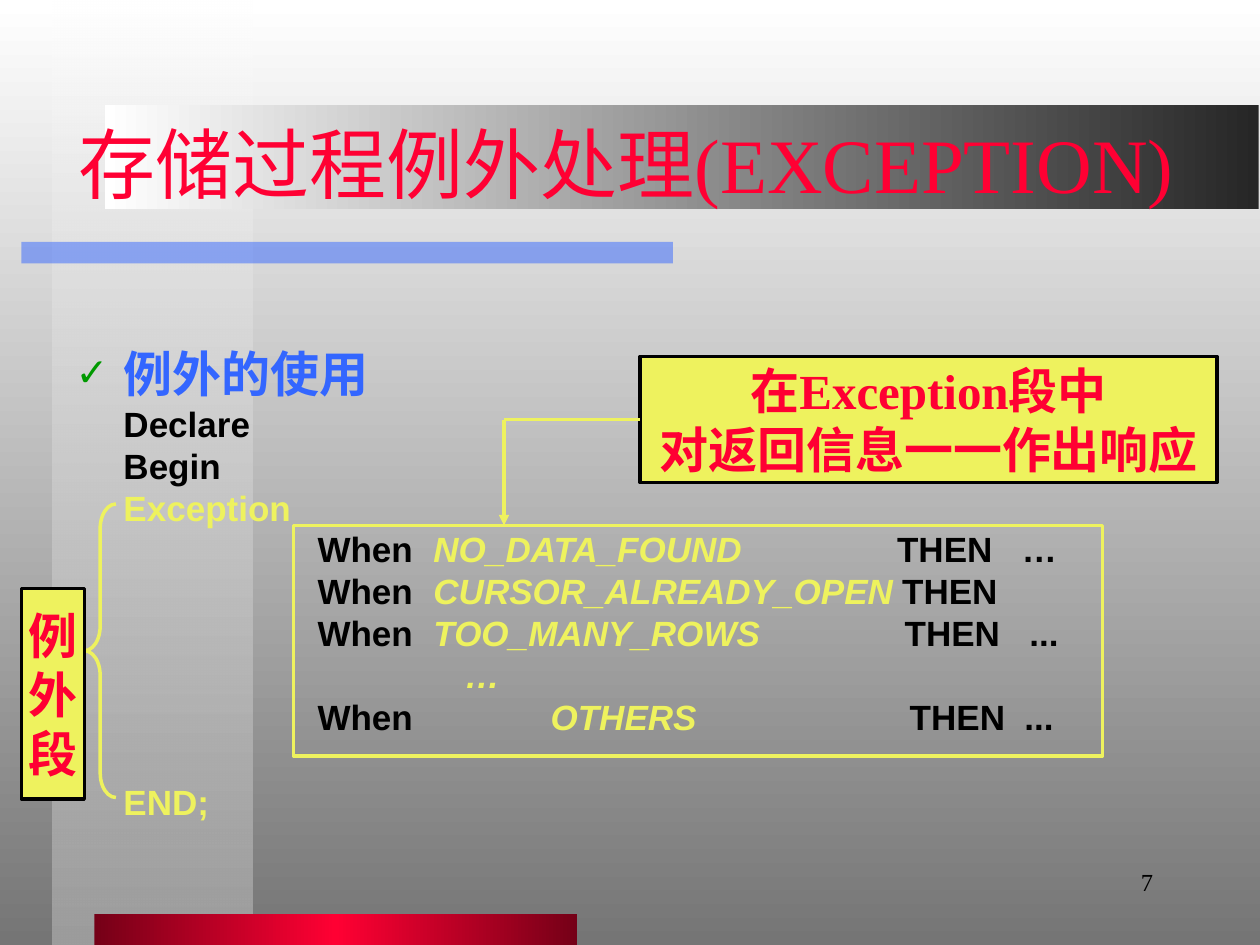
import pptx
import pptx.util
import pptx.dml.color
import pptx.enum.shapes
import pptx.enum.text
import pptx.oxml.ns
import lxml.etree

Inches, Pt = pptx.util.Inches, pptx.util.Pt
RGB = pptx.dml.color.RGBColor
SHAPE = pptx.enum.shapes.MSO_SHAPE
ALIGN = pptx.enum.text.PP_ALIGN
MIDDLE = pptx.enum.text.MSO_ANCHOR.MIDDLE
TOP = pptx.enum.text.MSO_ANCHOR.TOP
qn = pptx.oxml.ns.qn

WHITE, BLACK = RGB(255, 255, 255), RGB(0, 0, 0)
GRAY, SILVER, CHARCOAL = RGB(0x75, 0x75, 0x75), RGB(0x9D, 0x9D, 0x9D), RGB(0x26, 0x26, 0x26)
RED, MAROON = RGB(0xFF, 0x00, 0x33), RGB(0x75, 0x00, 0x17)
BLUE, GREEN, YELLOW = RGB(0x33, 0x66, 0xFF), RGB(0x00, 0x99, 0x00), RGB(0xEE, 0xF2, 0x5E)
SERIF, SANS = "Times New Roman", "Arial"

CODE = dict(name=SANS, size=Pt(20), bold=True, italic=False)
LABEL = dict(name=SERIF, size=Pt(28), bold=True)
LINE = 24
HANDLERS = [
    ("When", "NO_DATA_FOUND", "THEN", "…", (0.92, 4.6, 5.59)),
    ("When", "CURSOR_ALREADY_OPEN", "THEN", "", (0.92, 4.64)),
    ("When", "TOO_MANY_ROWS", "THEN", "...", (0.92, 4.66, 5.65)),
    ("", "…", "", "", (1.17,)),
    ("When", "OTHERS", "THEN", "...", (1.85, 4.7, 5.61)),
]


def sub(parent, tag, **attrs):
    return lxml.etree.SubElement(parent, qn("a:" + tag), {k: str(v) for k, v in attrs.items()})


def set_gradient(fill, element, stops, angle):
    fill.gradient()
    grad = element.find(".//" + qn("a:gradFill"))
    for child in list(grad):
        grad.remove(child)
    gs_lst = sub(grad, "gsLst")
    for pos, color, alpha in stops:
        clr = sub(sub(gs_lst, "gs", pos=pos * 1000), "srgbClr", val=color)
        if alpha < 100:
            sub(clr, "alpha", val=alpha * 1000)
    sub(grad, "lin", ang=angle * 60000, scaled=0)


def add_box(s, box, kind=SHAPE.RECTANGLE, fill=None, line=None):
    sp = s.shapes.add_shape(kind, *map(Inches, box))
    sp.shadow.inherit = False
    if fill is None:
        sp.fill.background()
    else:
        sp.fill.solid()
        sp.fill.fore_color.rgb = fill
    if line is None:
        sp.line.fill.background()
    else:
        sp.line.color.rgb = line
        sp.line.width = Pt(2)
    return sp


def place(sp, box):
    sp.left, sp.top, sp.width, sp.height = map(Inches, box)
    sp.text_frame.auto_size = pptx.enum.text.MSO_AUTO_SIZE.NONE


def add_run(p, text, color, formats):
    r = p.add_run()
    r.text = text
    for name, value in formats.items():
        setattr(r.font, name, value)
    r.font.color.rgb = color


def next_paragraph(tf):
    return tf.add_paragraph() if tf.paragraphs[0].runs else tf.paragraphs[0]


def set_indent(p, margin, indent=0):
    pPr = p._p.get_or_add_pPr()
    pPr.set("marL", str(Inches(margin)))
    pPr.set("indent", str(Inches(indent)))
    return pPr


def set_spacing(p, height, before=0):
    p.line_spacing = Pt(height)
    p.space_before = Pt(before)


def draw_backdrop(s, box):
    x, y, w, h = box
    set_gradient(s.background.fill, s.element, [(0, WHITE, 100), (100, GRAY, 100)], 90)
    column = add_box(s, (x + 0.42, y, 1.58, h))
    set_gradient(column.fill, column._element, [(0, WHITE, 50), (100, SILVER, 100)], 90)
    bar = add_box(s, (x + 0.17, y + 1.92, 5.17, 0.17), fill=BLUE)
    sub(bar._element.find(".//" + qn("a:srgbClr")), "alpha", val=50000)
    foot = add_box(s, (x + 0.75, y + h - 0.25, 3.83, 0.25))
    set_gradient(foot.fill, foot._element,
                 [(0, MAROON, 100), (50, RED, 100), (100, MAROON, 100)], 180)
    band = add_box(s, (x + 0.83, y + 0.83, w - 0.84, 0.83))
    set_gradient(band.fill, band._element, [(0, CHARCOAL, 100), (100, WHITE, 100)], 180)


def write_title(s, box):
    sp = s.shapes.title
    s.shapes._spTree.append(sp._element)
    place(sp, box)
    sp.text_frame.vertical_anchor = MIDDLE
    p = sp.text_frame.paragraphs[0]
    set_indent(p, 0.27)
    p.alignment = ALIGN.LEFT
    add_run(p, "存储过程例外处理(EXCEPTION)", RED, dict(name=SERIF, size=Pt(44)))


def write_code(s, box):
    sp = s.placeholders[1]
    s.shapes._spTree.append(sp._element)
    place(sp, box)
    tf = sp.text_frame
    tf.vertical_anchor = TOP

    p = next_paragraph(tf)
    pPr = set_indent(p, 0.38, -0.38)
    sub(sub(pPr, "buClr"), "srgbClr", val=GREEN)
    sub(pPr, "buSzPct", val=80000)
    sub(pPr, "buFont", typeface=SANS)
    sub(pPr, "buChar", char="✓")
    set_spacing(p, 34)
    add_run(p, "例外的使用", BLUE, dict(CODE, size=Pt(28)))

    handler_gap = LINE * (len(HANDLERS) + 1)
    for text, color, before in (("Declare", BLACK, 0), ("Begin", BLACK, 0),
                                ("Exception", YELLOW, 0), ("END;", YELLOW, handler_gap)):
        p = next_paragraph(tf)
        sub(set_indent(p, 0.38), "buNone")
        set_spacing(p, LINE, before)
        add_run(p, text, color, CODE)


def write_handlers(s, box):
    tf = add_box(s, box, line=YELLOW).text_frame
    tf.word_wrap = True
    tf.vertical_anchor = TOP
    tf.margin_left, tf.margin_top = Inches(0.19), Inches(0.02)
    for when, name, then, action, stops in HANDLERS:
        p = next_paragraph(tf)
        tabs = sub(p._p.get_or_add_pPr(), "tabLst")
        for pos in stops:
            sub(tabs, "tab", pos=Inches(pos), algn="l")
        set_spacing(p, LINE)
        p.alignment = ALIGN.LEFT
        if when:
            add_run(p, when, BLACK, CODE)
        add_run(p, "\t" + name, YELLOW, dict(CODE, italic=True))
        for text in filter(None, (then, action)):
            add_run(p, "\t" + text, BLACK, CODE)


def draw_label(s, box, lines):
    sp = add_box(s, box, fill=YELLOW, line=BLACK)
    tf = sp.text_frame
    tf.word_wrap = False
    tf.vertical_anchor = MIDDLE
    for text in lines:
        p = next_paragraph(tf)
        p.alignment = ALIGN.CENTER
        add_run(p, text, RED, LABEL)


def draw_brace(s, box):
    sp = add_box(s, box, SHAPE.LEFT_BRACE, line=YELLOW)
    sp.adjustments[0] = 0.78


def draw_elbow(s, box):
    x, y, w, h = box
    for end, arrow in (((x, y + h), True), ((x + w, y), False)):
        c = s.shapes.add_connector(pptx.enum.shapes.MSO_CONNECTOR.STRAIGHT,
                                   *map(Inches, (x, y) + end))
        c.line.color.rgb = YELLOW
        c.line.width = Pt(2)
        if arrow:
            sub(c.line._get_or_add_ln(), "tailEnd", type="triangle")
        sub(c._element.spPr, "effectLst")


def write_number(s, box):
    tf = s.shapes.add_textbox(*map(Inches, box)).text_frame
    tf.word_wrap = True
    tf.vertical_anchor = MIDDLE
    p = tf.paragraphs[0]
    p.alignment = ALIGN.RIGHT
    add_run(p, "7", BLACK, dict(name=SERIF, size=Pt(14)))


def main():
    prs = pptx.Presentation()
    prs.slide_width, prs.slide_height = Inches(10), Inches(7.5)
    s = prs.slides.add_slide(prs.slide_layouts[1])
    draw_backdrop(s, (0, 0, 10, 7.5))
    write_title(s, (0.25, 0.67, 9.58, 1.25))
    write_code(s, (0.5, 2.67, 9, 4.5))
    write_handlers(s, (2.33, 4.17, 6.42, 1.83))
    draw_brace(s, (0.67, 4, 0.25, 2.33))
    draw_label(s, (0.17, 4.67, 0.5, 1.67), "例外段")
    draw_label(s, (5.08, 2.83, 4.58, 1), ("在Exception段中", "对返回信息一一作出响应"))
    draw_elbow(s, (4, 3.33, 1.08, 0.84))
    write_number(s, (7.17, 6.75, 2.08, 0.5))
    prs.save("out.pptx")


if __name__ == "__main__":
    main()
